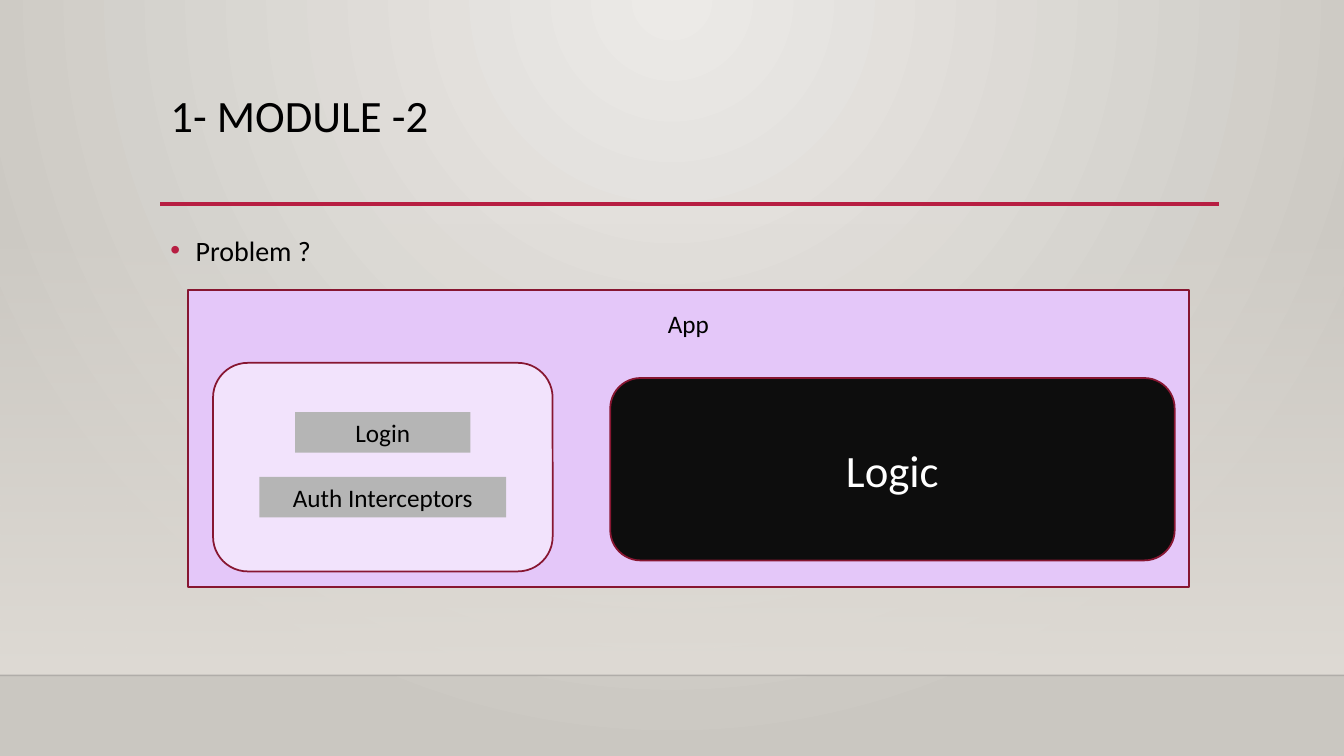
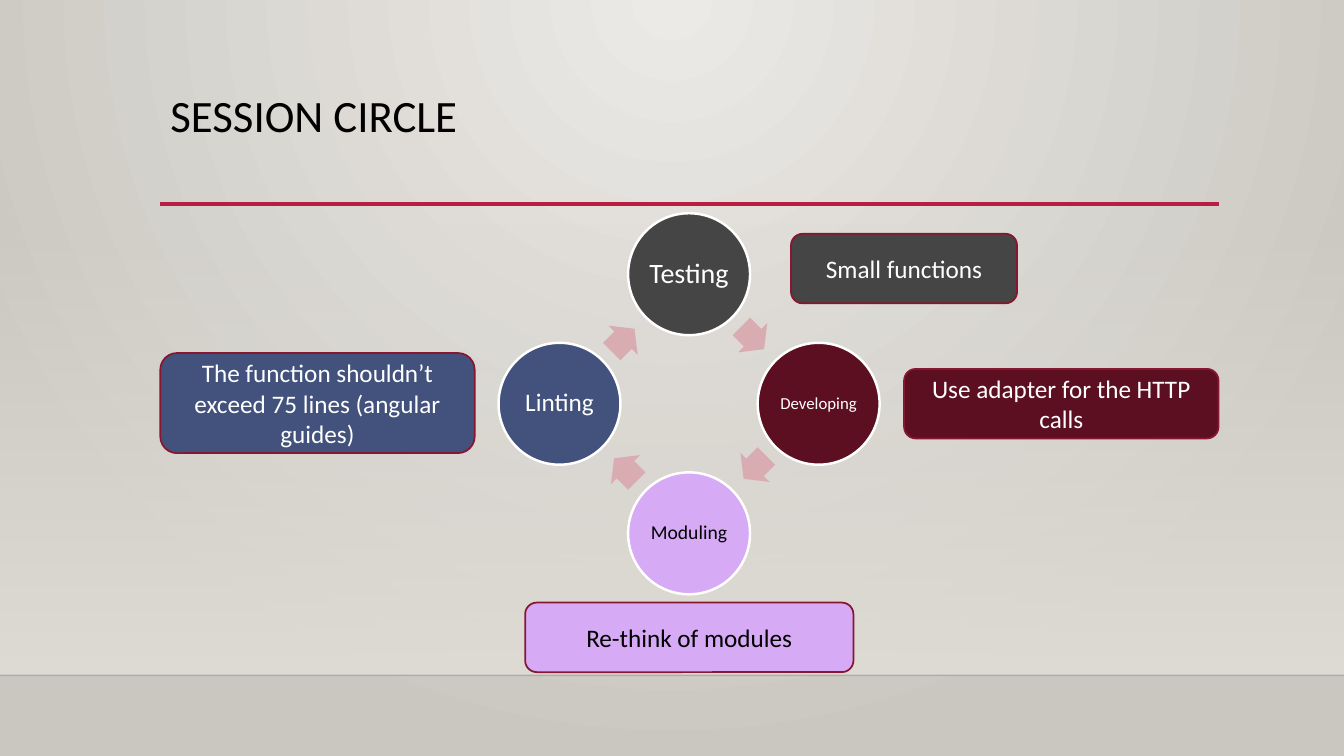
import math
from collections import namedtuple
from pptx import Presentation
from pptx import util as u
from pptx import oxml
from pptx.dml.color import RGBColor
from pptx.enum import shapes, text
from pptx.oxml import ns

Pt = u.Pt
Box = namedtuple("Box", "left top width height")
KINDS = shapes.MSO_SHAPE
ANCHOR = text.MSO_ANCHOR
ALIGN = text.PP_ALIGN

# Colours
BLACK = RGBColor(0x00, 0x00, 0x00)
WHITE = RGBColor(0xFF, 0xFF, 0xFF)
RULE_RED = RGBColor(0xB7, 0x1E, 0x42)
BORDER_RED = RGBColor(0x87, 0x16, 0x31)
ARROW_PINK = RGBColor(0xD8, 0xAC, 0xB0)
SHADE = RGBColor(0x00, 0x00, 0x01)
BACK_LIGHT = RGBColor(0xEC, 0xEA, 0xE7)
BACK_DARK = RGBColor(0xCA, 0xC7, 0xC1)
FADE = RGBColor(0xDF, 0xDB, 0xD5)
LILAC = RGBColor(0xE4, 0xC7, 0xF9)
PALE_LILAC = RGBColor(0xF2, 0xE3, 0xFC)
LABEL_GREY = RGBColor(0xB5, 0xB5, 0xB5)
LOGIC_BLACK = RGBColor(0x0D, 0x0D, 0x0D)
CHARCOAL = RGBColor(0x45, 0x45, 0x45)
WINE = RGBColor(0x5C, 0x0F, 0x21)
VIOLET = RGBColor(0xD7, 0xAA, 0xF6)
NAVY = RGBColor(0x42, 0x52, 0x7C)

FONT = "Calibri"
PAGE = Box(0, 0, 960, 540)
TITLE = Box(114.5, 63.4, 756, 82.5)
BODY = Box(114.5, 158.4, 756, 271.5)
FADE_TOP, FLOOR = 159, 482.4
RULE_Y = 145.7


# Text and shape helpers
def write(frame, words, size=18, color=BLACK, align=ALIGN.CENTER, anchor=ANCHOR.MIDDLE,
          line=None, before=None, inset=None, wrap=True):
    frame.auto_size = text.MSO_AUTO_SIZE.NONE
    frame.word_wrap = wrap
    frame.vertical_anchor = anchor
    if inset is not None:
        frame.margin_left = frame.margin_right = Pt(inset)
        frame.margin_top = frame.margin_bottom = Pt(inset)
    para = frame.paragraphs[0]
    para.alignment = align
    if line is not None:
        para.line_spacing = line
    if before is not None:
        para.space_before = Pt(before)
    span = para.add_run()
    span.text = words
    span.font.name, span.font.size = FONT, Pt(size)
    span.font.color.rgb = color
    return para


def place(item, box):
    item.left, item.top, item.width, item.height = map(Pt, box)


def draw(page, kind, box, fill=None, border=None, weight=1.25):
    shape = page.shapes.add_shape(kind, *map(Pt, box))
    shape.shadow.inherit = False
    if fill is not None:
        shape.fill.solid()
        shape.fill.fore_color.rgb = fill
    if border is None:
        shape.line.fill.background()
    else:
        shape.line.color.rgb = border
        shape.line.width = Pt(weight)
    return shape


def rule(page, left, right, y, color, weight):
    line = page.shapes.add_connector(shapes.MSO_CONNECTOR.STRAIGHT,
                                     Pt(left), Pt(y), Pt(right), Pt(y))
    line.line.color.rgb = color
    line.line.width = Pt(weight)
    properties = line.element.find(ns.qn("p:spPr"))
    properties.append(oxml.parse_xml(f'<a:effectLst {ns.nsdecls("a")}/>'))
    return line


def set_alpha(color_node, percent):
    color_node.append(oxml.parse_xml(
        f'<a:alpha {ns.nsdecls("a")} val="{percent * 1000}"/>'))


def set_gradient(owner, fill, first, last, direction, first_alpha=100):
    fill.gradient()
    blank = owner.element.find(".//" + ns.qn("a:gradFill"))
    gradient = oxml.parse_xml(
        f'<a:gradFill {ns.nsdecls("a")} rotWithShape="1"><a:gsLst>'
        f'<a:gs pos="0"><a:srgbClr val="{first}"/></a:gs>'
        f'<a:gs pos="100000"><a:srgbClr val="{last}"/></a:gs>'
        f'</a:gsLst>{direction}</a:gradFill>')
    if first_alpha < 100:
        set_alpha(gradient.find(".//" + ns.qn("a:srgbClr")), first_alpha)
    blank.getparent().replace(blank, gradient)


# Shared background, fade, floor line and title rule, kept on the master
def dress_master(master, page):
    set_gradient(master, master.background.fill, BACK_LIGHT, BACK_DARK,
                 '<a:path path="circle"><a:fillToRect l="43000" t="0" '
                 'r="43000" b="100000"/></a:path>')
    fade = draw(page, KINDS.RECTANGLE, Box(0, FADE_TOP, PAGE.width, FLOOR - FADE_TOP))
    set_gradient(fade, fade.fill, FADE, FADE, '<a:lin ang="5400000" scaled="0"/>',
                 first_alpha=0)
    floor = rule(page, 0, PAGE.width, FLOOR, SHADE, 1)
    set_alpha(floor.element.find(".//" + ns.qn("a:srgbClr")), 20)
    underline = rule(page, TITLE.left, 871, RULE_Y, RULE_RED, 2.5)
    for order, part in enumerate((fade, floor, underline)):
        part.element.find(".//" + ns.qn("p:cNvPr")).set("id", str(100 + order))
        master.shapes.element.insert(2 + order, part.element)


def add_title(page, words, box=TITLE):
    place(page.shapes.title, box)
    write(page.shapes.title.text_frame, words, size=32, align=ALIGN.LEFT,
          anchor=ANCHOR.TOP, line=0.9)


def add_bullet(page, words, box=BODY):
    body = page.placeholders[1]
    place(body, box)
    para = write(body.text_frame, words, size=20, align=ALIGN.LEFT,
                 anchor=ANCHOR.TOP, line=1.2, before=10)
    properties = para._p.get_or_add_pPr()
    properties.set("marL", str(Pt(18)))
    properties.set("indent", str(Pt(-18)))
    for bullet in (f'<a:buClr {ns.nsdecls("a")}><a:srgbClr val="{RULE_RED}"/></a:buClr>',
                   f'<a:buFont {ns.nsdecls("a")} typeface="Arial"/>',
                   f'<a:buChar {ns.nsdecls("a")} char="•"/>'):
        properties.append(oxml.parse_xml(bullet))


# App block with its login part and logic part
def app_diagram(page, box):
    def inside(left, top, width, height):
        return Box(box.left + left, box.top + top, width, height)

    draw(page, KINDS.RECTANGLE, box, LILAC, BORDER_RED)
    caption = page.shapes.add_textbox(*map(Pt, inside(0, 9.4, box.width, 29)))
    write(caption.text_frame, "App", anchor=ANCHOR.TOP)
    draw(page, KINDS.ROUNDED_RECTANGLE, inside(18, 51.8, 242.6, 149), PALE_LILAC, BORDER_RED)
    for words, top, width in (("Login", 87, 125.3), ("Auth Interceptors", 133.2, 176.4)):
        label = draw(page, KINDS.RECTANGLE,
                     inside(139.2 - width / 2, top, width, 29), LABEL_GREY)
        write(label.text_frame, words, anchor=ANCHOR.TOP, wrap=False)
    logic = draw(page, KINDS.ROUNDED_RECTANGLE, inside(301.7, 62.6, 403.2, 130.3),
                 LOGIC_BLACK, BORDER_RED)
    write(logic.text_frame, "Logic", size=32, color=WHITE)


# Ring of steps, clockwise from the top, with arrows between them
def step_cycle(page, box, steps, disc=87.1):
    center_x, center_y = box.left + box.width / 2, box.top + box.height / 2
    radius = (box.width - disc) / 2

    def around(angle, distance, width, height):
        turn = math.radians(angle)
        return Box(center_x + distance * math.cos(turn) - width / 2,
                   center_y + distance * math.sin(turn) - height / 2, width, height)

    for order, (words, size, fill, color) in enumerate(steps):
        quarter = 90 * order
        circle = draw(page, KINDS.OVAL, around(quarter - 90, radius, disc, disc),
                      fill, WHITE, 1.75)
        write(circle.text_frame, words, size=size, color=color, line=0.9, inset=1.5)
        arrow = draw(page, KINDS.RIGHT_ARROW,
                     around(quarter - 46, radius / math.sqrt(2), 23, 29.4), ARROW_PINK)
        arrow.adjustments[0], arrow.adjustments[1] = 0.6, 0.5
        arrow.rotation = 45 + quarter


def callout(page, box, words, fill, color):
    note = draw(page, KINDS.ROUNDED_RECTANGLE, box, fill, BORDER_RED)
    write(note.text_frame, words, color=color)


# Slides
def module_slide(page):
    add_title(page, "1- MODULE -2")
    add_bullet(page, "Problem ?")
    app_diagram(page, Box(134.2, 207.4, 715, 211.7))


def session_slide(page):
    add_title(page, "SESSION CIRCLE")
    step_cycle(page, Box(356.1, 152.3, 272.2, 272.2), (
        ("Testing", 20, CHARCOAL, WHITE),
        ("Developing", 12, WINE, WHITE),
        ("Moduling", 14, VIOLET, BLACK),
        ("Linting", 18, NAVY, WHITE)))
    for box, words, fill, color in (
            (Box(565, 167, 161.5, 49.7), "Small functions", CHARCOAL, WHITE),
            (Box(645.8, 263.5, 224.6, 49.7), "Use adapter for the HTTP calls", WINE, WHITE),
            (Box(375.1, 430.4, 234.5, 49.7), "Re-think of modules", VIOLET, BLACK),
            (Box(114.5, 252.2, 224.6, 71.5),
             "The function shouldn’t exceed 75 lines (angular guides)", NAVY, WHITE)):
        callout(page, box, words, fill, color)


deck = Presentation()
deck.slide_width, deck.slide_height = Pt(PAGE.width), Pt(PAGE.height)
module_page = deck.slides.add_slide(deck.slide_layouts[1])
session_page = deck.slides.add_slide(deck.slide_layouts[5])
dress_master(deck.slide_master, module_page)
module_slide(module_page)
session_slide(session_page)
deck.save("out.pptx")
